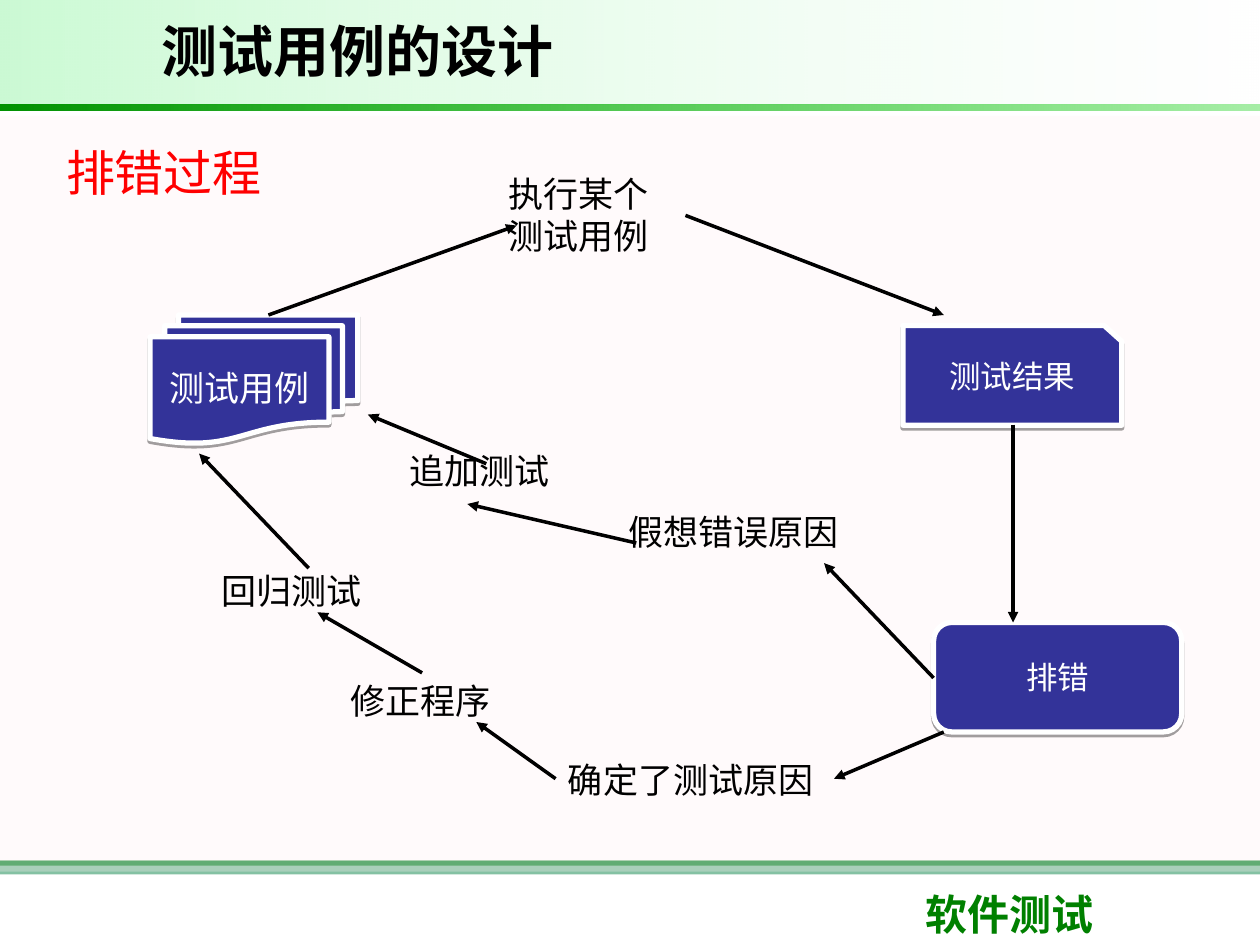
import pptx
import pptx.util
import pptx.dml.color
import pptx.enum.shapes
import pptx.enum.text
import pptx.oxml.ns
import pptx.oxml.xmlchemy
from dataclasses import dataclass

Pt = pptx.util.Pt
qn = pptx.oxml.ns.qn
SHAPE = pptx.enum.shapes.MSO_SHAPE
ALIGN = pptx.enum.text.PP_ALIGN
ANCHOR = pptx.enum.text.MSO_ANCHOR


@dataclass(frozen=True)
class Theme:
    latin: str = "Arial"
    cjk: str = "Noto Sans CJK SC"
    ink: str = "000000"
    white: str = "FFFFFF"
    node: str = "333399"
    red: str = "FF0000"
    green: str = "008000"
    sea: str = "339966"
    blush: str = "FFF0F5"
    mint: str = "09E733"
    bar_light: str = "00CC00"
    bar_dark: str = "009200"
    title: int = 32
    heading: int = 28
    footer: int = 24
    label: int = 20
    box: int = 18


T = Theme()


def rgb(value):
    return pptx.dml.color.RGBColor.from_string(value)


def sub(parent, tag, **attrs):
    el = pptx.oxml.xmlchemy.OxmlElement(tag)
    for key, value in attrs.items():
        el.set(key, str(value))
    parent.append(el)
    return el


def set_opacity(sp, percents):
    colours = list(sp._element.spPr.iter(qn("a:srgbClr")))
    for clr, percent in zip(colours, percents):
        if percent < 100:
            sub(clr, "a:alpha", val=percent * 1000)


def write(tf, text, size, colour, font=T.cjk, bold=False, align=ALIGN.LEFT):
    p = tf.paragraphs[0]
    p.alignment = align
    r = p.add_run()
    r.text = text
    r.font.size = Pt(size)
    r.font.bold = bold
    r.font.name = font
    r.font.color.rgb = rgb(colour)
    if font == T.cjk:
        sub(r.font._element, "a:ea", typeface=font)


def add_text(s, box, text, size=T.label, colour=T.ink, **style):
    tf = s.shapes.add_textbox(*map(Pt, box)).text_frame
    tf.word_wrap = True
    write(tf, text, size, colour, **style)


def add_band(s, box, colour, opacity=100):
    sp = s.shapes.add_shape(SHAPE.RECTANGLE, *map(Pt, box))
    sp.shadow.inherit = False
    sp.line.fill.background()
    sp.fill.solid()
    sp.fill.fore_color.rgb = rgb(colour)
    set_opacity(sp, [opacity])


def add_gradient_band(s, box, stops):
    sp = s.shapes.add_shape(SHAPE.RECTANGLE, *map(Pt, box))
    sp.shadow.inherit = False
    sp.line.fill.background()
    sp.rotation = 180
    sp.fill.gradient()
    sp.fill.gradient_angle = 0
    for stop, (colour, _) in zip(sp.fill.gradient_stops, stops):
        stop.color.rgb = rgb(colour)
    set_opacity(sp, [opacity for _, opacity in stops])


def style_node(sp, text, size, font=T.cjk):
    sp.fill.solid()
    sp.fill.fore_color.rgb = rgb(T.node)
    sp.line.color.rgb = rgb(T.white)
    sp.line.width = Pt(3)
    # Short shadow straight below
    sp.shadow.inherit = False
    effects = sp._element.spPr.find(qn("a:effectLst"))
    shadow = sub(effects, "a:outerShdw", blurRad=0, dist=int(Pt(1.6)),
                 dir=5400000, algn="ctr", rotWithShape=0)
    sub(sub(shadow, "a:srgbClr", val=T.ink), "a:alpha", val=36000)
    tf = sp.text_frame
    tf.word_wrap = False
    tf.vertical_anchor = ANCHOR.MIDDLE
    write(tf, text, size, T.white, font=font, align=ALIGN.CENTER)


def add_snipped_box(s, x, y, w, h, cut):
    fb = s.shapes.build_freeform(x, y, scale=Pt(1))
    fb.add_line_segments([(x + w - cut, y), (x + w, y + cut),
                          (x + w, y + h), (x, y + h)], close=True)
    return fb.convert_to_shape()


def add_arrow(s, x1, y1, x2, y2):
    line = s.shapes.add_connector(
        pptx.enum.shapes.MSO_CONNECTOR.STRAIGHT, *map(Pt, (x1, y1, x2, y2)))
    line.line.color.rgb = rgb(T.ink)
    line.line.width = Pt(2)
    sub(line._element.spPr.find(qn("a:ln")), "a:tailEnd", type="triangle")
    sub(line._element.spPr, "a:effectLst")


def main():
    prs = pptx.Presentation()
    prs.slide_width, prs.slide_height = Pt(720), Pt(540)
    s = prs.slides.add_slide(prs.slide_layouts[6])

    # Page frame: footer rules, tinted body, header bands
    add_band(s, (0, 491.8, 720, 2.9), T.green)
    add_band(s, (0, 491.8, 720, 7.9), T.sea, 60)
    add_band(s, (0, 66.2, 720, 432), T.blush, 30)
    add_text(s, (522, 504, 170.6, 36), "软件测试", T.footer, T.green,
             font=T.latin, bold=True)
    add_gradient_band(s, (0, 0, 719.3, 59.8), [(T.white, 10), (T.mint, 21)])
    add_gradient_band(s, (0, 59.8, 720, 3.6),
                      [(T.bar_light, 35), (T.bar_dark, 100)])

    # Filled nodes
    cases = s.shapes.add_shape(SHAPE.FLOWCHART_MULTIDOCUMENT,
                               *map(Pt, (85.7, 180, 118.8, 73.4)))
    style_node(cases, "测试用例", T.label)
    result = add_snipped_box(s, 516.2, 185.7, 124.6, 56.9, 9.4)
    style_node(result, "测试结果", T.box)
    debug = s.shapes.add_shape(SHAPE.ROUNDED_RECTANGLE,
                               *map(Pt, (533.5, 355.7, 141.8, 62.6)))
    style_node(debug, "排错", T.box, T.latin)

    # Step labels
    for text, *box in (
        ("执行某个测试用例", 283.7, 95, 108, 55.4),
        ("追加测试", 226.8, 253.4, 108, 31.7),
        ("假想错误原因", 352.1, 288, 158.4, 31.7),
        ("确定了测试原因", 317.5, 429.8, 158.4, 31.7),
        ("修正程序", 193, 384.5, 96.5, 31.7),
        ("回归测试", 119.5, 321.8, 96.5, 31.7),
    ):
        add_text(s, box, text)

    # Flow arrows
    for ends in (
        (153.4, 180, 295.2, 128.9),      # cases to run
        (391.7, 123.1, 539.3, 180),      # run to result
        (578.9, 242.6, 578.9, 355.7),    # result to debugging
        (533.5, 387.4, 470.9, 321.8),    # debugging to suspected cause
        (363.6, 310.3, 267.1, 288),      # suspected cause to extra tests
        (277.9, 265, 210.2, 236.9),      # extra tests to cases
        (539.3, 418.3, 476.6, 445),      # debugging to known cause
        (317.5, 445, 272.2, 412.6),      # known cause to fix
        (241.2, 384.5, 181.4, 349.9),    # fix to regression
        (176.4, 324.7, 113.8, 259.2),    # regression to cases
    ):
        add_arrow(s, *ends)

    # Headings
    add_text(s, (5.8, 77.8, 175.7, 41), "排错过程", T.heading, T.red,
             align=ALIGN.CENTER)
    add_text(s, (85, 5.8, 501.8, 51.1), "测试用例的设计", T.title,
             font=T.latin, bold=True)

    prs.save("out.pptx")


if __name__ == "__main__":
    main()
